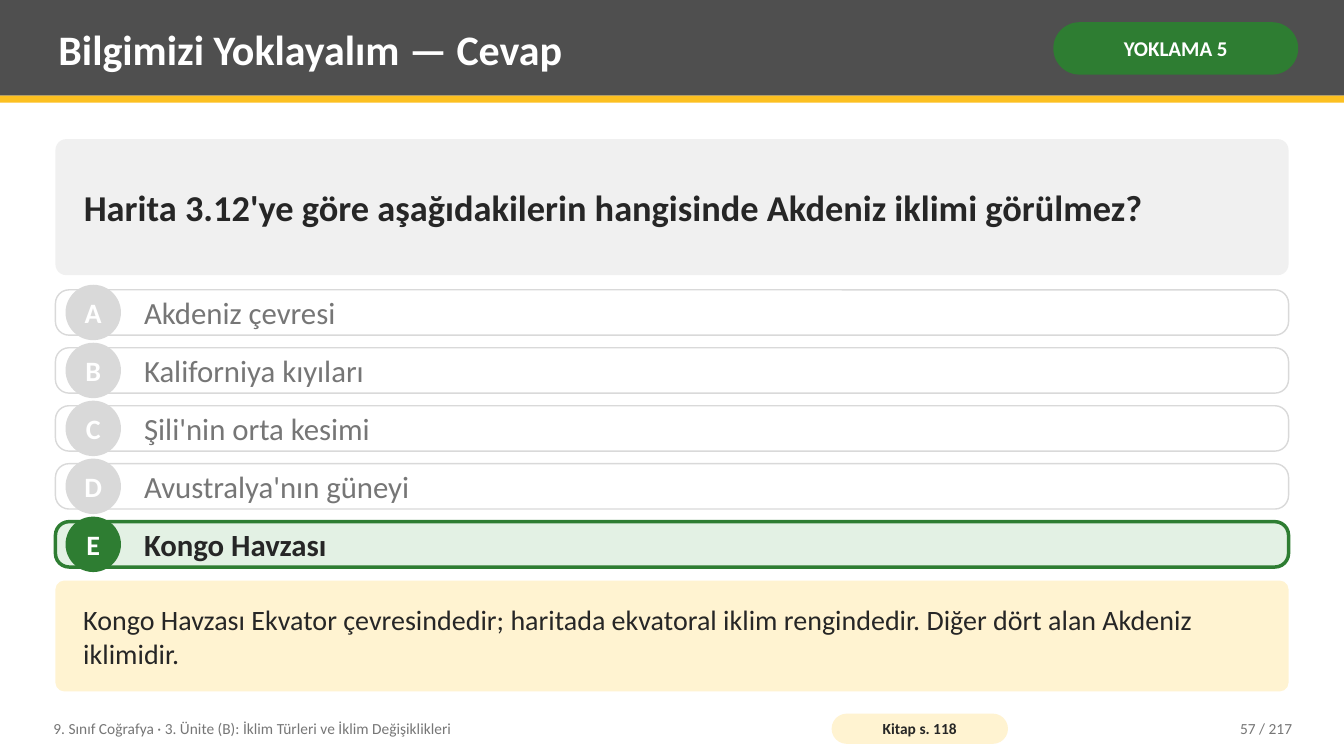
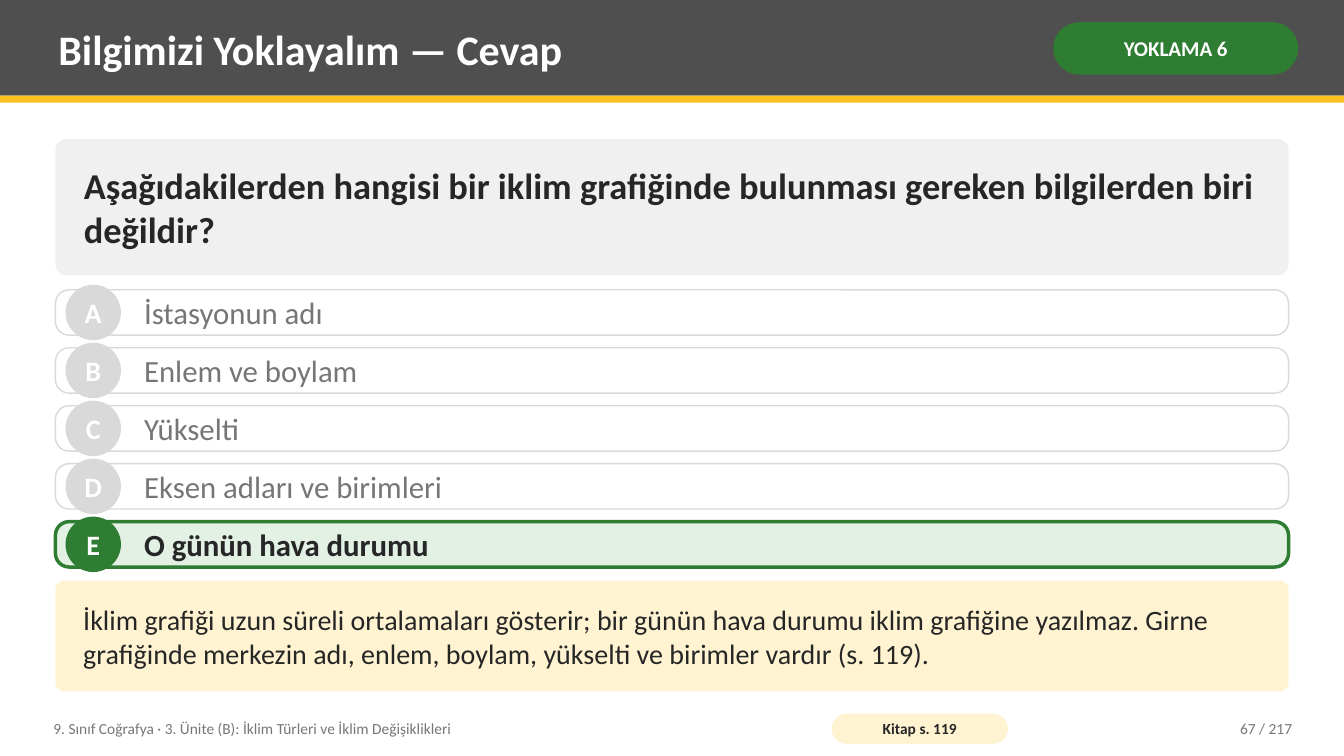
from pptx import Presentation
from pptx.dml.color import RGBColor
from pptx.enum.shapes import MSO_SHAPE
from pptx.enum.text import MSO_ANCHOR, PP_ALIGN
from pptx.util import Pt

FONT = "Calibri"
WHITE = RGBColor(0xFF, 0xFF, 0xFF)
CHARCOAL = RGBColor(0x4F, 0x4F, 0x4F)
AMBER = RGBColor(0xFC, 0xC0, 0x21)
CREAM = RGBColor(0xFF, 0xF3, 0xD1)
GREEN = RGBColor(0x2E, 0x7D, 0x32)
PALE_GREEN = RGBColor(0xE3, 0xF1, 0xE4)
PALE_GRAY = RGBColor(0xF0, 0xF0, 0xF0)
LIGHT_GRAY = RGBColor(0xD9, 0xD9, 0xD9)
MUTED = RGBColor(0x76, 0x76, 0x76)
INK = RGBColor(0x26, 0x26, 0x26)

SLIDE_WIDTH, SLIDE_HEIGHT = 960, 540
BAND_HEIGHT, STRIPE_HEIGHT = 68.4, 5.04
MARGIN = 39.6
CONTENT_WIDTH = SLIDE_WIDTH - 2 * MARGIN
OPTION_TOP, OPTION_HEIGHT, OPTION_PITCH = 207, 32.4, 41.4
BADGE_SIZE = 39.6
FOOTER_TOP, FOOTER_HEIGHT = 507, 25.92

TITLE = "Bilgimizi Yoklayalım — Cevap"
FOOTER = "9. Sınıf Coğrafya · 3. Ünite (B): İklim Türleri ve İklim Değişiklikleri"
PAGE_TOTAL = 217

QUESTIONS = [
    {
        "tag": "YOKLAMA 5",
        "question": "Harita 3.12'ye göre aşağıdakilerin hangisinde Akdeniz iklimi görülmez?",
        "options": ["Akdeniz çevresi", "Kaliforniya kıyıları", "Şili'nin orta kesimi",
                    "Avustralya'nın güneyi", "Kongo Havzası"],
        "answer": "E",
        "explanation": "Kongo Havzası Ekvator çevresindedir; haritada ekvatoral iklim rengindedir. "
                       "Diğer dört alan Akdeniz iklimidir.",
        "book": "Kitap s. 118",
        "page": 57,
    },
    {
        "tag": "YOKLAMA 6",
        "question": "Aşağıdakilerden hangisi bir iklim grafiğinde bulunması gereken bilgilerden biri değildir?",
        "options": ["İstasyonun adı", "Enlem ve boylam", "Yükselti",
                    "Eksen adları ve birimleri", "O günün hava durumu"],
        "answer": "E",
        "explanation": "İklim grafiği uzun süreli ortalamaları gösterir; bir günün hava durumu iklim "
                       "grafiğine yazılmaz. Girne grafiğinde merkezin adı, enlem, boylam, yükselti ve "
                       "birimler vardır (s. 119).",
        "book": "Kitap s. 119",
        "page": 67,
    },
]


def add_box(slide, kind, left, top, width, height, fill, radius=None, line=None, line_width=1):
    shape = slide.shapes.add_shape(kind, Pt(left), Pt(top), Pt(width), Pt(height))
    shape.shadow.inherit = False
    shape.fill.solid()
    shape.fill.fore_color.rgb = fill
    if radius is not None:
        shape.adjustments[0] = radius
    if line is None:
        shape.line.fill.background()
    else:
        shape.line.color.rgb = line
        shape.line.width = Pt(line_width)
    return shape


def write(shape, text, size, color, bold=False, align=PP_ALIGN.LEFT, inset=(5.76, 2.88), wrap=True):
    text_frame = shape.text_frame
    text_frame.word_wrap = wrap
    text_frame.vertical_anchor = MSO_ANCHOR.MIDDLE
    text_frame.margin_left = text_frame.margin_right = Pt(inset[0])
    text_frame.margin_top = text_frame.margin_bottom = Pt(inset[1])
    text_frame.text = text
    paragraph = text_frame.paragraphs[0]
    paragraph.alignment = align
    font = paragraph.runs[0].font
    font.name = FONT
    font.size = Pt(size)
    font.bold = bold
    font.color.rgb = color


presentation = Presentation()
presentation.slide_width = Pt(SLIDE_WIDTH)
presentation.slide_height = Pt(SLIDE_HEIGHT)

for item in QUESTIONS:
    slide = presentation.slides.add_slide(presentation.slide_layouts[6])

    add_box(slide, MSO_SHAPE.RECTANGLE, 0, 0, SLIDE_WIDTH, BAND_HEIGHT, CHARCOAL)
    add_box(slide, MSO_SHAPE.RECTANGLE, 0, BAND_HEIGHT, SLIDE_WIDTH, STRIPE_HEIGHT, AMBER)
    title = slide.shapes.add_textbox(Pt(36), Pt(5.04), Pt(702), Pt(59.04))
    write(title, TITLE, 30, WHITE, bold=True)
    tag = add_box(slide, MSO_SHAPE.ROUNDED_RECTANGLE, 752.4, 15.84, 174.96, 37.44, GREEN, 0.5)
    write(tag, item["tag"], 15, WHITE, bold=True, align=PP_ALIGN.CENTER, inset=(3.6, 1.44))

    question = add_box(slide, MSO_SHAPE.ROUNDED_RECTANGLE, MARGIN, 99.36, CONTENT_WIDTH, 97.2, PALE_GRAY, 0.08)
    write(question, item["question"], 26, INK, bold=True, inset=(18, 5.76))

    for index, (letter, option) in enumerate(zip("ABCDE", item["options"])):
        correct = letter == item["answer"]
        accent = GREEN if correct else LIGHT_GRAY
        top = OPTION_TOP + index * OPTION_PITCH
        add_box(slide, MSO_SHAPE.ROUNDED_RECTANGLE, MARGIN, top, CONTENT_WIDTH, OPTION_HEIGHT,
                PALE_GREEN if correct else WHITE, 0.3, accent, 2.5 if correct else 1)
        badge = add_box(slide, MSO_SHAPE.OVAL, 46.8, top - (BADGE_SIZE - OPTION_HEIGHT) / 2,
                        BADGE_SIZE, BADGE_SIZE, accent)
        write(badge, letter, 20, WHITE, bold=True, align=PP_ALIGN.CENTER, inset=(0, 0), wrap=False)
        label = slide.shapes.add_textbox(Pt(97.2), Pt(top), Pt(808.56), Pt(OPTION_HEIGHT))
        write(label, option, 22, INK if correct else MUTED, bold=correct)

    explanation = add_box(slide, MSO_SHAPE.ROUNDED_RECTANGLE, MARGIN, 414.72, CONTENT_WIDTH, 79.2, CREAM, 0.08)
    write(explanation, item["explanation"], 20, INK, inset=(18, 5.76))

    footer = slide.shapes.add_textbox(Pt(32.4), Pt(FOOTER_TOP), Pt(547.2), Pt(FOOTER_HEIGHT))
    write(footer, FOOTER, 11, MUTED)
    book = add_box(slide, MSO_SHAPE.ROUNDED_RECTANGLE, 594, 509.76, 126, 21.6, CREAM, 0.5)
    write(book, item["book"], 11, INK, bold=True, align=PP_ALIGN.CENTER, inset=(2.88, 0))
    page = slide.shapes.add_textbox(Pt(813.6), Pt(FOOTER_TOP), Pt(115.2), Pt(FOOTER_HEIGHT))
    write(page, f"{item['page']} / {PAGE_TOTAL}", 11, MUTED, align=PP_ALIGN.RIGHT)

presentation.save("out.pptx")
